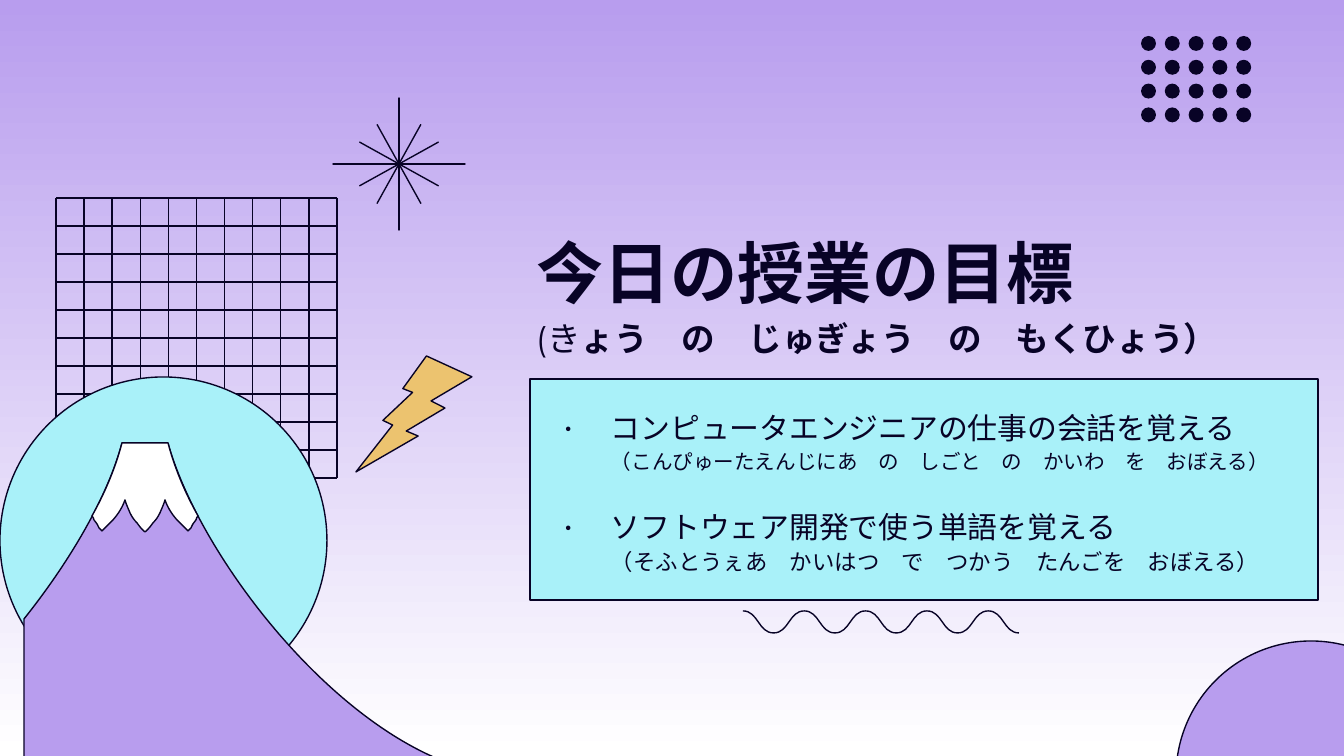
"""Builds the lesson-goals slide with its mountain, grid, star and wave decorations."""
from copy import deepcopy
from itertools import product

from lxml.etree import Element, SubElement
from pptx import Presentation
from pptx.dml.color import RGBColor
from pptx.enum.shapes import MSO_CONNECTOR, MSO_SHAPE
from pptx.enum.text import MSO_ANCHOR, MSO_AUTO_SIZE, PP_ALIGN
from pptx.oxml.ns import qn
from pptx.util import Pt

INK, PURPLE, AQUA, GOLD, WHITE = "080326", "B89DEE", "A9F1F9", "ECC36F", "FFFFFF"
FONT = "Montserrat"
SCALE = 914400 / 134.4

TITLE = [
    [("今日の授業の目標", 36, True)],
    [("(き", 18, False), ("ょう　の　じゅぎょう　の　もくひょう）", 18, True)],
]
GOALS = [
    [[("コンピュータエンジニアの仕事の会話を覚える", 16, False)],
     [("（こんぴゅーたえんじにあ　の　しごと　の　かいわ　を　おぼえる）", 11, False)]],
    [[("ソフトウェア開発で使う単語を覚える", 16, False)],
     [("（そふとうぇあ　かいはつ　で　つかう　たんごを　おぼえる）", 12, False)]],
]
STARS = [(333, 98, 132, 0), (354, 119, 90, 29), (354, 119, 90, 331)]
MOUNTAIN = [
    (168, 443), (122, 443), (108, 496, 71, 560, 24, 619), (24, 839),
    (24, 843, 27, 845, 31, 845), (431, 845), (436, 845, 438, 843, 438, 839),
    (438, 759), (317, 708, 198, 550, 168, 443),
]
SNOW_LEFT = [
    (122, 443), (116, 466, 106, 491, 92, 516), (93, 517, 94, 519, 94, 520),
    (97, 524, 98, 525, 99, 528), (101, 530, 102, 531, 102, 531),
    (102, 531, 106, 527, 112, 521), (116, 517, 122, 509, 125, 500),
    (126, 504, 128, 508, 130, 513), (132, 517, 134, 520, 137, 523),
    (141, 529, 145, 532, 145, 532),
]
SNOW_AXIS = 145
WAVE = dict(left=743, right=1019, top=611, bottom=633, halves=9)
GRID = dict(left=56, right=337, top=198, bottom=478, cells=10)
DOTS = dict(left=1141, top=36, size=15, pitch=23.8, columns=5, rows=4)


def emu(pixels):
    return round(pixels * SCALE)


def color(value):
    return RGBColor.from_string(value)


def paint(shape, fill=None, line=None):
    shape.shadow.inherit = False
    if fill:
        shape.fill.solid()
        shape.fill.fore_color.rgb = color(fill)
    else:
        shape.fill.background()
    if line:
        shape.line.color.rgb = color(line)
        shape.line.width = Pt(0.75)
    else:
        shape.line.fill.background()
    return shape


def add_shape(page, kind, left, top, width, height, fill=None, line=INK):
    shape = page.shapes.add_shape(kind, emu(left), emu(top), emu(width), emu(height))
    return paint(shape, fill, line)


def add_line(page, *ends):
    line = page.shapes.add_connector(MSO_CONNECTOR.STRAIGHT, *map(emu, ends))
    line.line.color.rgb = color(INK)
    line.line.width = Pt(0.75)
    SubElement(line._element.spPr, qn("a:effectLst"))


def mirror(steps, axis):
    mirrored = []
    for curve, previous in zip(steps[:0:-1], steps[-2::-1]):
        (x1, y1), (x2, y2), (x, y) = curve[:2], curve[2:4], previous[-2:]
        mirrored.append((2 * axis - x2, y2, 2 * axis - x1, y1, 2 * axis - x, y))
    return mirrored


def add_outline(page, steps, fill=None, close=True):
    corners = [(emu(step[-2]), emu(step[-1])) for step in steps]
    builder = page.shapes.build_freeform(*corners[0])
    builder.add_line_segments(corners[1:], close=close)
    shape = paint(builder.convert_to_shape(), fill, INK)
    for segment, step in zip(list(shape._element.iter(qn("a:lnTo"))), steps[1:]):
        if len(step) == 6:
            segment.tag = qn("a:cubicBezTo")
            for index in (0, 1):
                x, y = step[2 * index:2 * index + 2]
                segment.insert(index, Element(
                    qn("a:pt"), x=str(emu(x) - shape.left), y=str(emu(y) - shape.top)))


def add_span(para, text, size, bold):
    span = para.add_run()
    span.text = text
    span.font.name = FONT
    span.font.size = Pt(size)
    span.font.bold = bold
    span.font.color.rgb = color(INK)
    return span


def write_lines(para, lines):
    para.alignment = PP_ALIGN.LEFT
    para.line_spacing = 1.15
    span = None
    for line in lines:
        if span is not None:
            para.add_line_break()
            para._p[-1].append(deepcopy(span._r.rPr))
        for text, size, bold in line:
            span = add_span(para, text, size, bold)


def add_bullet(para):
    properties = para._p.get_or_add_pPr()
    properties.set("marL", str(emu(68)))
    properties.set("indent", str(emu(-47)))
    bullet_color = SubElement(properties, qn("a:buClr"))
    SubElement(bullet_color, qn("a:srgbClr"), val=INK)
    SubElement(properties, qn("a:buFont"), typeface=FONT)
    SubElement(properties, qn("a:buChar"), char="•")


def prepare_frame(shape, anchor, bottom=13):
    frame = shape.text_frame
    frame.word_wrap = True
    frame.auto_size = MSO_AUTO_SIZE.NONE
    frame.vertical_anchor = anchor
    frame.margin_left = frame.margin_right = frame.margin_top = emu(13)
    frame.margin_bottom = emu(bottom)
    return frame


def add_text(page):
    title = page.shapes.title
    title.left, title.top, title.width, title.height = map(emu, (523, 175, 747, 238))
    write_lines(prepare_frame(title, MSO_ANCHOR.BOTTOM, 55).paragraphs[0], TITLE)

    box = add_shape(page, MSO_SHAPE.RECTANGLE, 530, 379, 788, 221, AQUA)
    frame = prepare_frame(box, MSO_ANCHOR.MIDDLE)
    for index, goal in enumerate(GOALS):
        para = frame.add_paragraph() if index else frame.paragraphs[0]
        if index:
            para.space_before = Pt(16)
        write_lines(para, goal)
        add_bullet(para)


def add_corner(page):
    pie = add_shape(page, MSO_SHAPE.PIE, 1176, 641, 270, 270, PURPLE)
    pie.adjustments[0], pie.adjustments[1] = 108, 0
    for row, column in product(range(DOTS["rows"]), range(DOTS["columns"])):
        add_shape(page, MSO_SHAPE.OVAL, DOTS["left"] + column * DOTS["pitch"],
                  DOTS["top"] + row * DOTS["pitch"], DOTS["size"], DOTS["size"], INK, None)


def add_sparks(page):
    for left, top, size, angle in STARS:
        star = add_shape(page, MSO_SHAPE.STAR_4_POINT, left, top, size, size)
        star.adjustments[0] = 0
        star.rotation = angle
    bolt = add_shape(page, MSO_SHAPE.LIGHTNING_BOLT, 356, 356, 116, 116, GOLD)
    bolt._element.spPr.xfrm.set("flipH", "1")


def add_landscape(page):
    left, right, top, bottom, cells = GRID.values()
    for index in range(cells + 1):
        x = left + (right - left) * index / cells
        y = top + (bottom - top) * index / cells
        add_line(page, x, top, x, bottom)
        add_line(page, right, y, left, y)
    add_shape(page, MSO_SHAPE.OVAL, 0, 377, 327, 327, AQUA)
    add_outline(page, MOUNTAIN, PURPLE)
    add_outline(page, SNOW_LEFT + mirror(SNOW_LEFT, SNOW_AXIS), WHITE)


def add_wave(page):
    left, right, top, bottom, halves = WAVE.values()
    step = (right - left) / halves
    steps = [(left, top)]
    for index in range(halves):
        start, end = (bottom, top) if index % 2 else (top, bottom)
        x = left + index * step
        steps.append((x + step / 2, start, x + step / 2, end, x + step, end))
    add_outline(page, steps, close=False)


def main():
    deck = Presentation()
    deck.slide_width, deck.slide_height = emu(1344), emu(756)
    page = deck.slides.add_slide(deck.slide_layouts[5])
    backdrop = page.background.fill
    backdrop.gradient()
    backdrop.gradient_angle = 270
    for stop, value in zip(backdrop.gradient_stops, (PURPLE, WHITE)):
        stop.color.rgb = color(value)
    for add_part in (add_corner, add_text, add_sparks, add_landscape, add_wave):
        add_part(page)
    deck.save("out.pptx")


if __name__ == "__main__":
    main()
